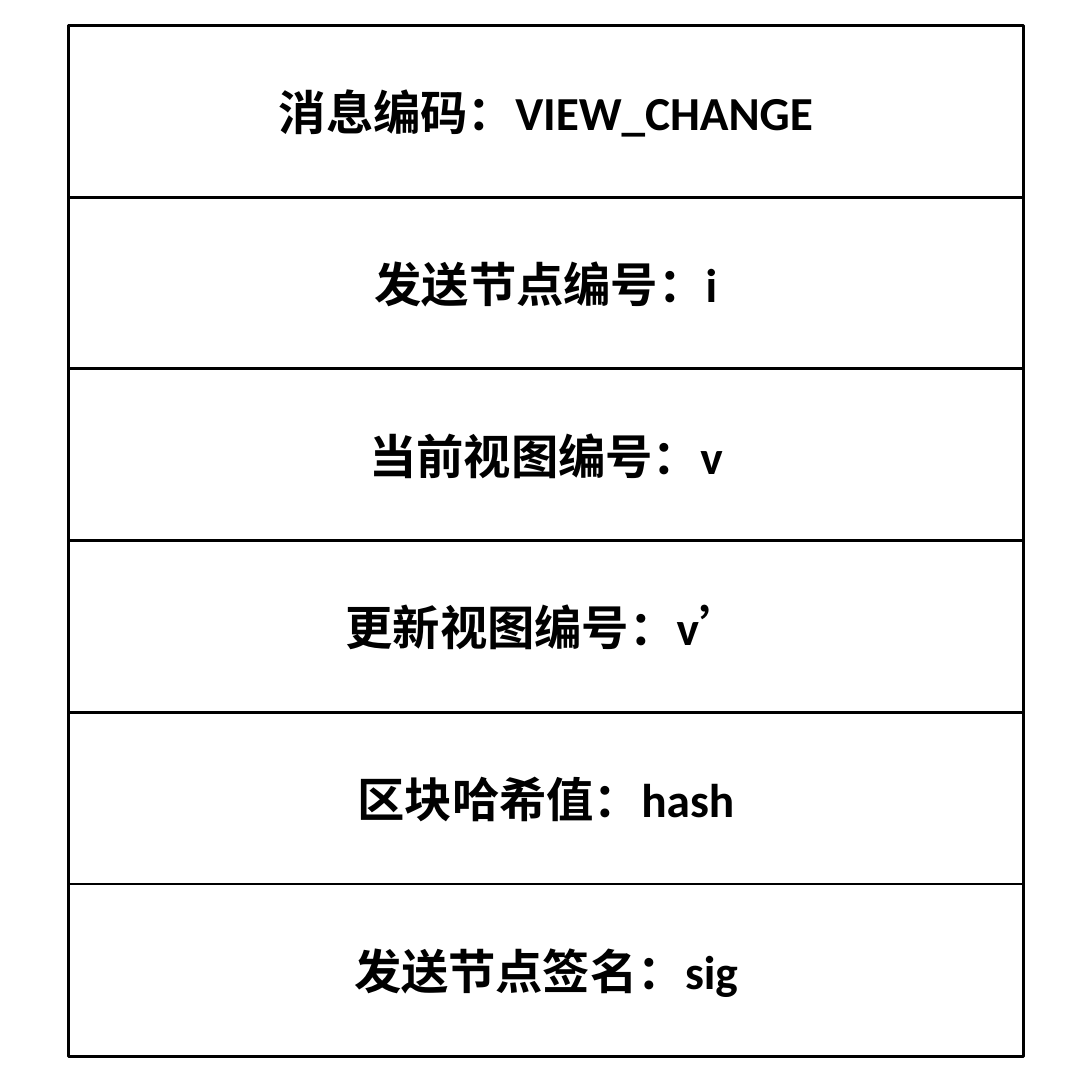
from dataclasses import dataclass

from pptx import Presentation
from pptx import util as u
from pptx.dml.color import RGBColor
from pptx.enum import lang, shapes, text

PX = 4572


@dataclass(frozen=True)
class Theme:
    fill: RGBColor = RGBColor(0xFF, 0xFF, 0xFF)
    ink: RGBColor = RGBColor(0x00, 0x00, 0x00)
    font: str = "Calibri"
    size: int = 16
    line: int = 1


class MessageSlide:
    def __init__(self, prs, theme):
        self.theme = theme
        self.s = prs.slides.add_slide(prs.slide_layouts[6])

    def field(self, label, x, y, w, h):
        t = self.theme
        sp = self.s.shapes.add_shape(
            shapes.MSO_SHAPE.RECTANGLE, x * PX, y * PX, w * PX, h * PX
        )
        sp.shadow.inherit = False
        sp.fill.solid()
        sp.fill.fore_color.rgb = t.fill
        sp.line.color.rgb = t.ink
        sp.line.width = u.Pt(t.line)
        tf = sp.text_frame
        tf.text = label
        tf.word_wrap = True
        tf.vertical_anchor = text.MSO_ANCHOR.MIDDLE
        p = tf.paragraphs[0]
        p.alignment = text.PP_ALIGN.CENTER
        r = p.runs[0]
        r.font.name = t.font
        r.font.size = u.Pt(t.size)
        r.font.bold = True
        r.font.color.rgb = t.ink
        r.font.language_id = lang.MSO_LANGUAGE_ID.SIMPLIFIED_CHINESE


FIELDS = [
    "消息编码：VIEW_CHANGE",
    "发送节点编号：i",
    "当前视图编号：v",
    "更新视图编号：v’",
    "区块哈希值：hash",
    "发送节点签名：sig",
]
LEFT, TOP, WIDTH, HEIGHT, PITCH = 64, 24, 896, 162, 161


def main():
    prs = Presentation()
    prs.slide_width = prs.slide_height = 1024 * PX
    message = MessageSlide(prs, Theme())
    for i, label in enumerate(FIELDS):
        message.field(label, LEFT, TOP + i * PITCH, WIDTH, HEIGHT)
    prs.save("out.pptx")


if __name__ == "__main__":
    main()
